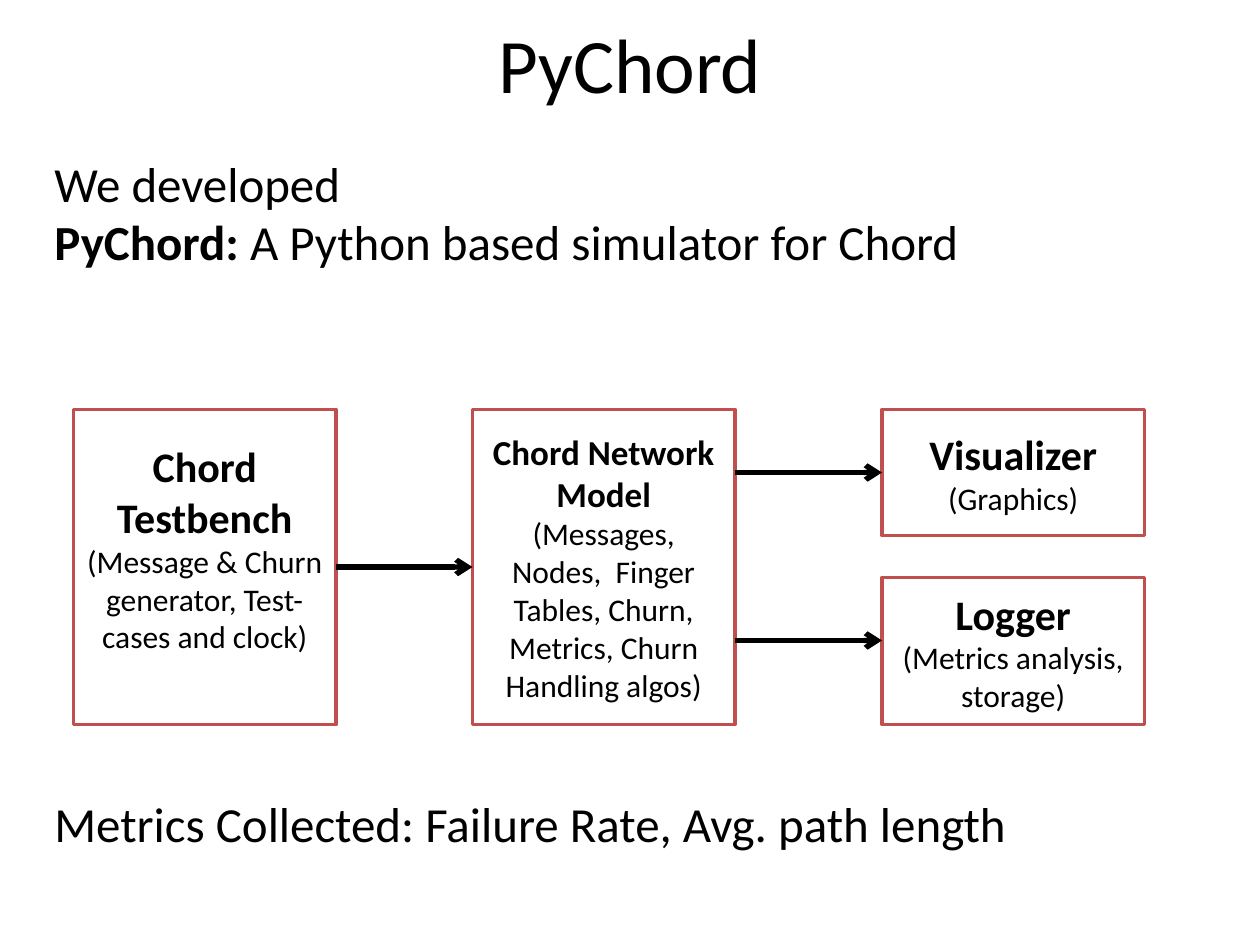
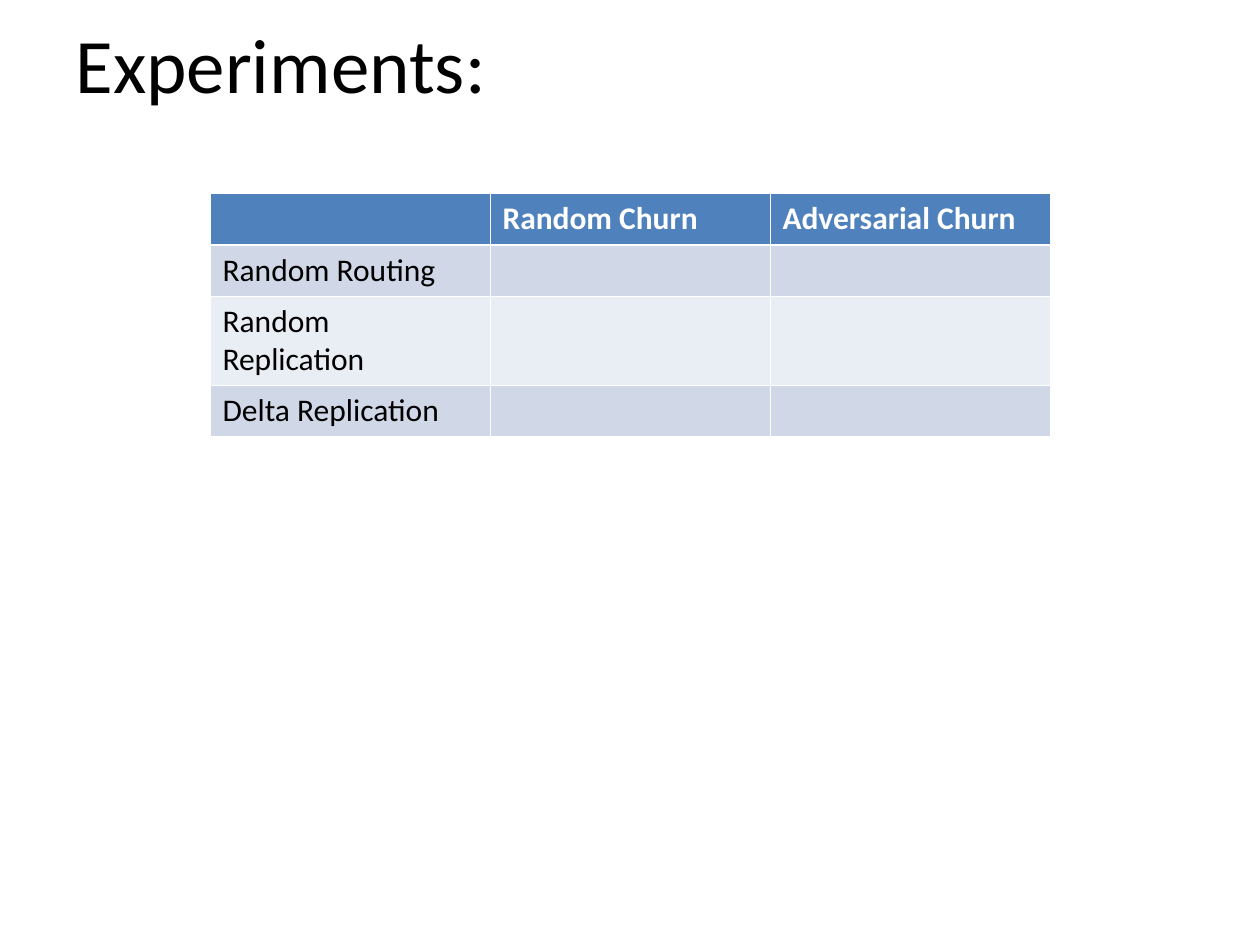
from dataclasses import dataclass

from lxml.etree import SubElement
from pptx import Presentation
from pptx.dml.color import RGBColor
from pptx.enum.shapes import MSO_CONNECTOR, MSO_SHAPE
from pptx.enum.text import MSO_ANCHOR, MSO_AUTO_SIZE, PP_ALIGN
from pptx.oxml.ns import qn
from pptx.util import Inches, Pt

UNIT = Inches(1) / 12  # the slide is a grid of 120 columns by 90 rows
TITLE_ONLY = 5
LEFT_SIDE, RIGHT_SIDE = 1, 3


@dataclass(frozen=True)
class Theme:
    font: str = "Calibri"
    ink: str = "000000"
    paper: str = "FFFFFF"
    outline: str = "C0504D"
    header: str = "4F81BD"
    bands: tuple = ("D0D8E8", "E9EDF4")
    title: int = 44
    statement: int = 28
    heading: int = 24
    long_heading: int = 20
    detail: int = 18
    outline_width: float = 2
    arrow_width: float = 3
    border: float = 0.45
    header_border: float = 1.47


THEME = Theme()


@dataclass(frozen=True)
class Box:
    """An area measured in grid columns and rows."""
    left: float
    top: float
    width: float
    height: float

    def inner(self, left, top, width, height):
        return Box(self.left + left, self.top + top, width, height)

    def frame(self):
        return [round(n * UNIT) for n in (self.left, self.top, self.width, self.height)]


TITLE_BOX = Box(6, 0, 108, 12)


def style(font, size, color=THEME.ink, bold=False):
    font.name, font.size, font.bold = THEME.font, Pt(size), bold
    font.color.rgb = RGBColor.from_string(color)


def add_titled_slide(presentation, text, alignment):
    slide = presentation.slides.add_slide(presentation.slide_layouts[TITLE_ONLY])
    title = slide.shapes.title
    title.left, title.top, title.width, title.height = TITLE_BOX.frame()
    title.text_frame.text = text
    title.text_frame.vertical_anchor = MSO_ANCHOR.MIDDLE
    paragraph = title.text_frame.paragraphs[0]
    paragraph.alignment = alignment
    style(paragraph.font, THEME.title)
    return slide


def add_statement(slide, box, lines):
    """Write lines of text, each given as a bold lead and a plain rest."""
    frame = slide.shapes.add_textbox(*box.frame()).text_frame
    frame.word_wrap = True
    frame.auto_size = MSO_AUTO_SIZE.SHAPE_TO_FIT_TEXT
    for index, (lead, rest) in enumerate(lines):
        paragraph = frame.add_paragraph() if index else frame.paragraphs[0]
        style(paragraph.font, THEME.statement)
        if lead:
            run = paragraph.add_run()
            run.text = lead
            run.font.bold = True
        paragraph.add_run().text = rest


def add_module(slide, box, heading, detail, heading_size=THEME.heading):
    module = slide.shapes.add_shape(MSO_SHAPE.RECTANGLE, *box.frame())
    module.shadow.inherit = False
    module.fill.solid()
    module.fill.fore_color.rgb = RGBColor.from_string(THEME.paper)
    module.line.color.rgb = RGBColor.from_string(THEME.outline)
    module.line.width = Pt(THEME.outline_width)
    frame = module.text_frame
    frame.word_wrap = True
    frame.vertical_anchor = MSO_ANCHOR.MIDDLE
    frame.text = f"{heading}\n{detail}"
    for paragraph, size, bold in zip(frame.paragraphs, (heading_size, THEME.detail), (True, False)):
        paragraph.alignment = PP_ALIGN.CENTER
        style(paragraph.font, size, bold=bold)
    return module


def add_arrow(slide, source, target, row):
    """Draw a level arrow from the right of source to the left of target."""
    y = round(row * UNIT)
    arrow = slide.shapes.add_connector(
        MSO_CONNECTOR.STRAIGHT, source.left + source.width, y, target.left, y)
    arrow.line.color.rgb = RGBColor.from_string(THEME.ink)
    arrow.line.width = Pt(THEME.arrow_width)
    outline = arrow.get_or_add_ln()
    SubElement(outline, qn("a:tailEnd"), type="arrow")
    SubElement(outline.getparent(), qn("a:effectLst"))
    return arrow


def add_architecture(slide, box):
    width, model_left, sink_left = 25, 38, 77
    model = add_module(
        slide, box.inner(model_left, 0, width, box.height), "Chord Network Model",
        "(Messages, Nodes,  Finger Tables, Churn, Metrics, Churn Handling algos)",
        THEME.long_heading)
    testbench = add_module(
        slide, box.inner(0, 0, width, box.height), "Chord Testbench",
        "(Message & Churn generator, Test-cases and clock)")
    testbench.text_frame.margin_bottom = Inches(0.35)
    visualizer = add_module(
        slide, box.inner(sink_left, 0, width, 12), "Visualizer", "(Graphics)")
    logger = add_module(
        slide, box.inner(sink_left, 16, width, 14), "Logger", "(Metrics analysis, storage)")

    feed = add_arrow(slide, testbench, model, box.top + 15)
    feed.begin_connect(testbench, RIGHT_SIDE)
    feed.end_connect(model, LEFT_SIDE)
    display = add_arrow(slide, model, visualizer, box.top + 6)
    display.end_connect(visualizer, LEFT_SIDE)
    add_arrow(slide, model, logger, box.top + 22)


def set_borders(cell, top, bottom):
    properties = cell._tc.get_or_add_tcPr()
    sides = {"L": THEME.border, "R": THEME.border, "T": top, "B": bottom}
    for side, width in sides.items():
        line = SubElement(properties, qn(f"a:ln{side}"), w=str(int(Pt(width))))
        fill = SubElement(line, qn("a:solidFill"))
        SubElement(fill, qn("a:srgbClr"), val=THEME.paper)


def add_experiment_table(slide, box, rows, heights):
    table = slide.shapes.add_table(len(rows), len(rows[0]), *box.frame()).table
    for row, height in zip(table.rows, heights):
        row.height = Inches(height)
    for r, texts in enumerate(rows):
        is_header = r == 0
        fill = THEME.header if is_header else THEME.bands[(r - 1) % 2]
        top = THEME.header_border if r == 1 else THEME.border
        bottom = THEME.header_border if is_header else THEME.border
        for c, text in enumerate(texts):
            cell = table.cell(r, c)
            set_borders(cell, top, bottom)
            cell.fill.solid()
            cell.fill.fore_color.rgb = RGBColor.from_string(fill)
            cell.text = text
            style(cell.text_frame.paragraphs[0].font, THEME.detail,
                  THEME.paper if is_header else THEME.ink, is_header)


def build_simulator_slide(presentation):
    slide = add_titled_slide(presentation, "PyChord", PP_ALIGN.CENTER)
    add_statement(slide, Box(4, 14, 112, 12.5), [
        ("", "We developed"),
        ("PyChord:", " A Python based simulator for Chord"),
    ])
    add_architecture(slide, Box(7, 39, 102, 30))
    add_statement(slide, Box(4, 75, 112, 6.8), [
        ("", "Metrics Collected: Failure Rate, Avg. path length"),
    ])


def build_experiments_slide(presentation):
    slide = add_titled_slide(presentation, "Experiments:", PP_ALIGN.LEFT)
    add_experiment_table(slide, Box(20, 18.4, 80, 23), [
        ("", "Random Churn", "Adversarial Churn"),
        ("Random Routing", "", ""),
        ("Random Replication", "", ""),
        ("Delta Replication", "", ""),
    ], heights=(0.41, 0.4, 0.7, 0.4))


def main():
    presentation = Presentation()
    presentation.slide_width, presentation.slide_height = Inches(10), Inches(7.5)
    build_simulator_slide(presentation)
    build_experiments_slide(presentation)
    presentation.save("out.pptx")


if __name__ == "__main__":
    main()
